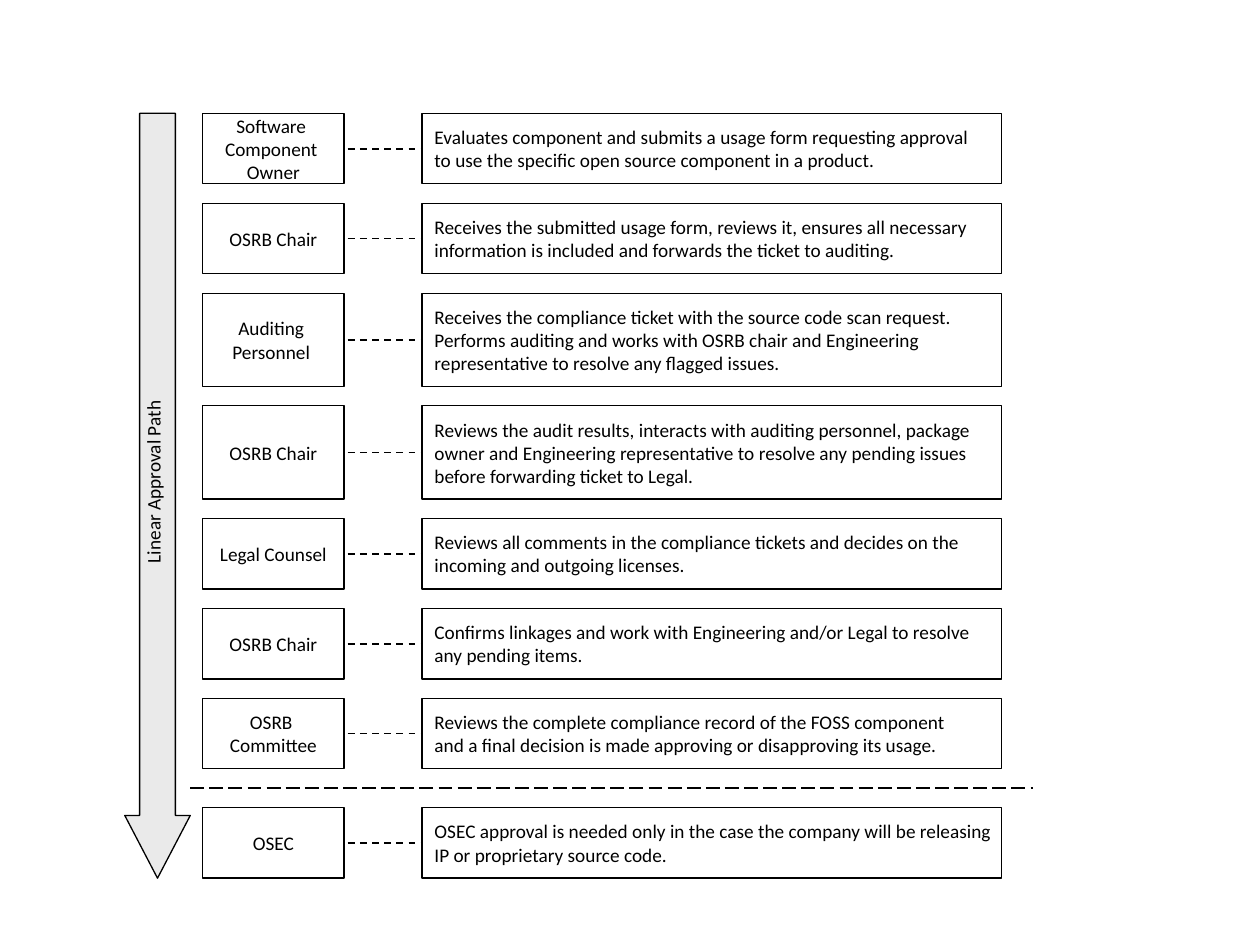
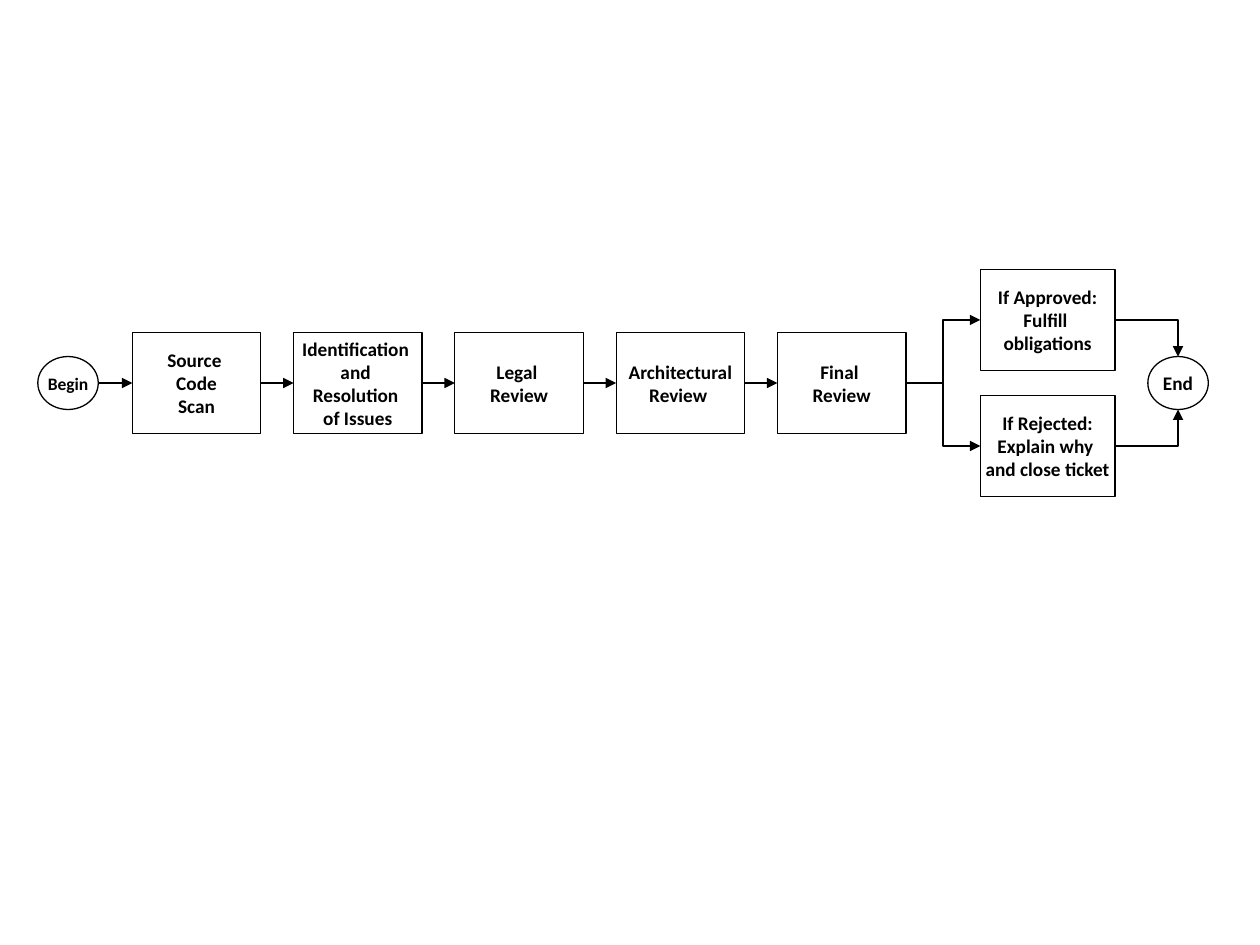
"""Build two slides on open source review: approval path and process flow."""
from lxml.etree import SubElement
from pptx import Presentation
from pptx.dml.color import RGBColor
from pptx.enum.dml import MSO_LINE
from pptx.enum.shapes import MSO_CONNECTOR, MSO_SHAPE
from pptx.enum.text import MSO_ANCHOR, PP_ALIGN
from pptx.oxml.ns import qn
from pptx.util import Inches, Pt

HUES = {"ink": "000000", "arrow": "EAEAEA"}
FONT = "Calibri"
WIDE, HIGH = 10, 7.5

LOW, TALL = 0.56, 0.74
STEPS = [
    (LOW, "Software \nComponent \nOwner",
     "Evaluates component and submits a usage form requesting approval\n"
     "to use the specific open source component in a product."),
    (LOW, "OSRB Chair",
     "Receives the submitted usage form, reviews it, ensures all necessary\n"
     "information is included and forwards the ticket to auditing."),
    (TALL, "Auditing \nPersonnel ",
     "Receives the compliance ticket with the source code scan request.\n"
     "Performs auditing and works with OSRB chair and Engineering\n"
     "representative to resolve any flagged issues."),
    (TALL, "OSRB Chair",
     "Reviews the audit results, interacts with auditing personnel, package\n"
     "owner and Engineering representative to resolve any pending issues\n"
     "before forwarding ticket to Legal."),
    (LOW, "Legal Counsel",
     "Reviews all comments in the compliance tickets and decides on the\n"
     "incoming and outgoing licenses."),
    (LOW, "OSRB Chair",
     "Confirms linkages and work with Engineering and/or Legal to resolve\n"
     "any pending items."),
    (LOW, "OSRB \nCommittee",
     "Reviews the complete compliance record of the FOSS component\n"
     "and a final decision is made approving or disapproving its usage."),
    (LOW, "OSEC",
     "OSEC approval is needed only in the case the company will be releasing\n"
     "IP or proprietary source code."),
]
STAGES = [
    "Source \nCode\nScan",
    "Identification \nand \nResolution \nof Issues",
    "Legal \nReview",
    "Architectural\nReview ",
    "Final \nReview",
]
ENDINGS = [
    "If Approved:\nFulfill \nobligations",
    "If Rejected:\nExplain why \nand close ticket",
]


def tint(name):
    """Return a colour from the palette."""
    return RGBColor.from_string(HUES[name])


def write(shape, text, size=11, bold=False, align=PP_ALIGN.CENTER):
    """Put unwrapped, vertically centred text in a shape."""
    frame = shape.text_frame
    frame.text = text
    frame.word_wrap = False
    frame.vertical_anchor = MSO_ANCHOR.MIDDLE
    for para in frame.paragraphs:
        para.alignment = align
        for run in para.runs:
            font = run.font
            font.name, font.size, font.bold = FONT, Pt(size), bold
            font.color.rgb = tint("ink")


def draw(slide, kind, x, y, w, h, fill=None):
    """Add an outlined shape, filled only on request."""
    shape = slide.shapes.add_shape(kind, *map(Inches, (x, y, w, h)))
    shape.shadow.inherit = False
    if fill:
        shape.fill.solid()
        shape.fill.fore_color.rgb = tint(fill)
    else:
        shape.fill.background()
    shape.line.color.rgb = tint("ink")
    shape.line.width = Pt(0.75)
    return shape


def box(slide, x, y, w, h, text, **style):
    """Add a rectangle with text."""
    shape = draw(slide, MSO_SHAPE.RECTANGLE, x, y, w, h)
    write(shape, text, **style)
    return shape


def link(slide, start, end, kind=MSO_CONNECTOR.STRAIGHT, dash=None,
         head=False, tie=(None, None)):
    """Add a line, dashed or with an arrowhead, tied right to left."""
    line = slide.shapes.add_connector(kind, *map(Inches, (*start, *end)))
    source, target = tie
    if source:
        line.begin_connect(source, 3)
    if target:
        line.end_connect(target, 1)
    line.line.color.rgb = tint("ink")
    line.line.width = Pt(1 if dash else 0.75)
    if dash:
        line.line.dash_style = dash
    props = line._element.spPr
    if head:
        SubElement(props.find(qn("a:ln")), qn("a:tailEnd"), type="triangle")
    SubElement(props, qn("a:effectLst"))
    return line


def path(slide):
    """Draw the approval path: who acts, and what each one does."""
    top, span = 0.9, 6.07
    role, duty = (1.61, 1.12), (3.35, 4.6)
    gap = (span - sum(step[0] for step in STEPS)) / len(STEPS)
    y = top
    for high, who, what in STEPS:
        if who == STEPS[-1][1]:
            link(slide, (1.51, y), (8.2, y), dash=MSO_LINE.LONG_DASH)
            y += gap
        box(slide, role[0], y, role[1], high, who)
        note = box(slide, duty[0], y, duty[1], high, what, align=PP_ALIGN.LEFT)
        mid = y + high / 2
        link(slide, (sum(role) + 0.03, mid), (duty[0], mid),
             dash=MSO_LINE.DASH, tie=(None, note))
        y += high + gap

    arrow = draw(slide, MSO_SHAPE.DOWN_ARROW, 0.99, top, 0.52, span, "arrow")
    arrow.adjustments[0], arrow.adjustments[1] = 0.545, 0.957
    label = slide.shapes.add_textbox(*map(Inches, (0.18, 3.64, 2.07, 0.37)))
    label.rotation = 270
    write(label, "Linear Approval Path")


def flow(slide):
    """Draw the review process from begin to end."""
    mid, high = 3.04, 0.8
    left, wide, pitch = 1.05, 1.02, 1.28
    fork, broad, drop = 7.78, 1.07, 0.5
    dot, deep = 0.48, 0.42
    first, final = 0.3, 9.11

    for x, text, size in ((first, "Begin", 10), (final, "End", 11)):
        disc = draw(slide, MSO_SHAPE.OVAL, x, mid - deep / 2, dot, deep)
        write(disc, text, size, True)

    last, tip = None, first + dot
    for i, text in enumerate(STAGES):
        x = left + i * pitch
        stage = box(slide, x, mid - high / 2, wide, high, text, bold=True)
        link(slide, (tip, mid), (x, mid), head=True, tie=(last, stage))
        last, tip = stage, x + wide

    for side, text in zip((-1, 1), ENDINGS):
        y = mid + side * drop
        choice = box(slide, fork, y - high / 2, broad, high, text, bold=True)
        link(slide, (tip, mid), (fork, y), MSO_CONNECTOR.ELBOW,
             head=True, tie=(last, choice))
        turn = link(slide, (fork + broad, y),
                    (final + dot / 2, mid + side * deep / 2),
                    MSO_CONNECTOR.ELBOW, head=True)
        turn._element.spPr.find(qn("a:prstGeom")).set("prst", "bentConnector2")


def main():
    """Build and save the deck."""
    deck = Presentation()
    deck.slide_width, deck.slide_height = Inches(WIDE), Inches(HIGH)
    for paint in (path, flow):
        paint(deck.slides.add_slide(deck.slide_layouts[6]))
    deck.save("out.pptx")


if __name__ == "__main__":
    main()
